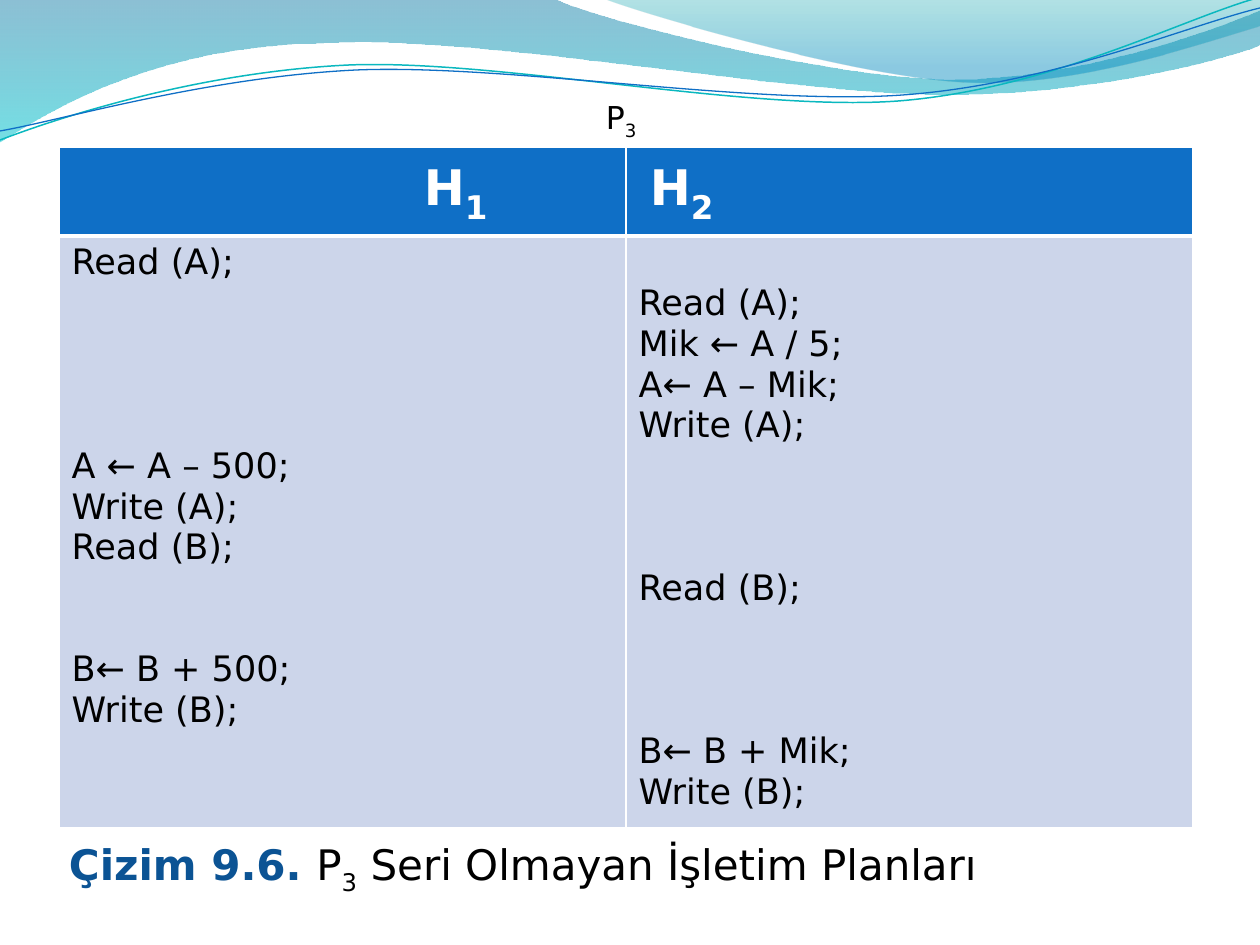
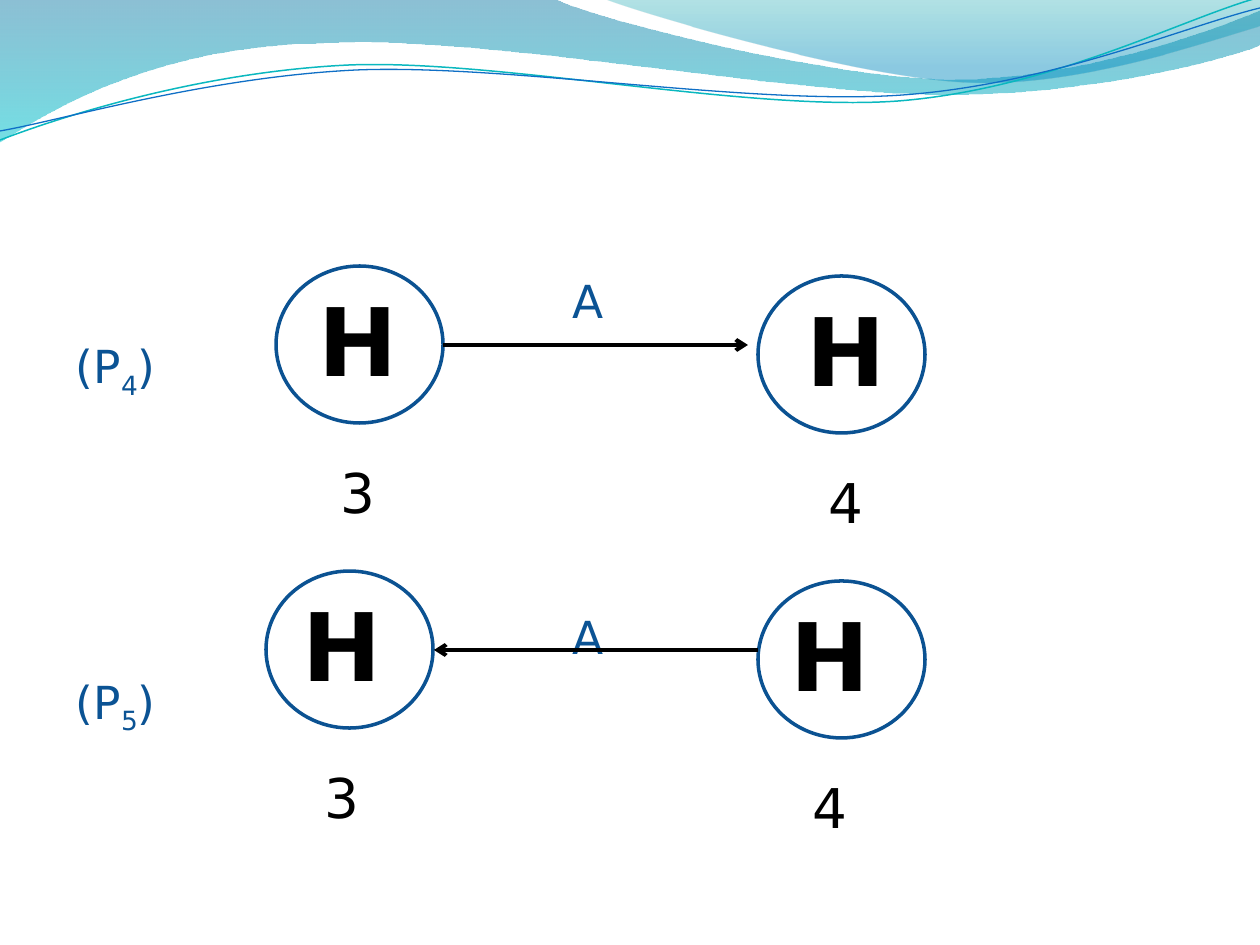
from lxml.etree import SubElement
from pptx import Presentation
from pptx.dml.color import RGBColor
from pptx.enum.shapes import MSO_CONNECTOR as CONN, MSO_SHAPE as SHAPE
from pptx.enum.text import MSO_ANCHOR as ANCHOR, PP_ALIGN as ALIGN
from pptx.oxml.ns import qn
from pptx.util import Pt

PX = 914400 / 126
BLACK = RGBColor(0x00, 0x00, 0x00)
WHITE = RGBColor(0xFF, 0xFF, 0xFF)
NAVY = RGBColor(0x0B, 0x53, 0x94)
RING = RGBColor(0x0B, 0x52, 0x92)
BLUE = RGBColor(0x0F, 0x6F, 0xC6)
TEAL = RGBColor(0x0A, 0xB8, 0xBF)
PALE = RGBColor(0xCC, 0xD5, 0xEA)
BAND_TOP = RGBColor(0x00, 0x74, 0xA1)
BAND_END = RGBColor(0x00, 0xC6, 0xCF)
CREST_TOP = RGBColor(0x00, 0xA1, 0xA9)
CREST_END = RGBColor(0x00, 0x8B, 0xBF)
LINE_PITCH = 23.28


def write(p, runs, **fmt):
    for txt, extra in runs:
        r = p.add_run()
        r.text = txt
        look = {"name": "DejaVu Sans", "bold": False, **fmt, **extra}
        r.font.color.rgb = look.pop("color", BLACK)
        if look.pop("sub", False):
            r._r.get_or_add_rPr().set("baseline", "-25000")
        for key, value in look.items():
            setattr(r.font, key, value)


def add_text(s, x, y, w, h, runs, **fmt):
    tf = s.shapes.add_textbox(*[int(v * PX) for v in (x, y, w, h)]).text_frame
    tf.word_wrap = True
    for side in ("left", "right", "top", "bottom"):
        setattr(tf, f"margin_{side}", 0)
    write(tf.paragraphs[0], runs, **fmt)
    return tf


SUB = {"sub": True}
BAND = [(0, 0), (554, -1), (600, 21, 837, 79, 955, 79), (1075, 79, 1207, 33, 1260, 11),
        (1261, 45), (1239, 55, 1096, 96, 940, 94), (784, 94, 481, 35, 324, 43),
        (163, 45, 58, 105, -1, 142)]
CREST = [(604, -1), (641, 14, 859, 78, 969, 82), (1079, 87, 1211, 40, 1260, 26), (1260, 0)]
TEAL_WAVE = [(0, 140), (60, 117, 199, 72, 349, 65), (498, 59, 747, 112, 898, 101),
             (1050, 89, 1182, 19, 1257, -2)]
BLUE_WAVE = [(0, 131), (59, 121, 207, 77, 357, 70), (508, 64, 752, 106, 903, 95),
             (1053, 84, 1186, 26, 1260, 8)]
WAVES = [
    (BAND, [(0, BAND_TOP, 45), (1, BAND_END, 55)], None),
    (CREST, [(0, CREST_TOP, 30), (0.8, CREST_END, 45)], None),
    (TEAL_WAVE, None, (TEAL, 0.85)),
    (BLUE_WAVE, None, (BLUE, 0.75)),
]

prs = Presentation()
prs.slide_width, prs.slide_height = int(1260 * PX), int(945 * PX)
blank = prs.slide_layouts[6]
plan, graphs = [prs.slides.add_slide(blank) for _ in range(2)]

for number, (outline, stops, line) in enumerate(WAVES):
    ends = [seg[-2:] for seg in outline]
    left, top = [min(end[a] for end in ends) for a in (0, 1)]
    pen = plan.shapes.build_freeform(*ends[0], scale=PX)
    pen.add_line_segments(ends[1:], close=bool(stops))
    sp = pen.convert_to_shape()
    sp.shadow.inherit = False
    for seg, step in zip(outline[1:], list(sp._element.iter(qn("a:lnTo")))):
        if len(seg) == 6:
            curve = step.makeelement(qn("a:cubicBezTo"))
            for x, y in zip(seg[::2], seg[1::2]):
                SubElement(curve, qn("a:pt"), x=str(x - left), y=str(y - top))
            step.getparent().replace(step, curve)
    if stops:
        sp.line.fill.background()
        sp.fill.gradient()
        sp.fill.gradient_angle = 270
        for stop, (pos, color, _) in zip(sp.fill.gradient_stops, stops):
            stop.position, stop.color.rgb = pos, color
        for clr, (_, _, alpha) in zip(list(sp._element.spPr.iter(qn("a:srgbClr"))), stops):
            SubElement(clr, qn("a:alpha"), val=str(alpha * 1000))
    else:
        sp.fill.background()
        sp.line.color.rgb, sp.line.width = line[0], Pt(line[1])
    sp._element.nvSpPr.cNvPr.id = 20 + number
    blank.shapes._spTree.append(sp._element)

tf = add_text(plan, 69, 817, 1134, 79, [
    ("Çizim 9.6. ", {"color": NAVY, "bold": True}), ("P", {}), ("3", SUB),
    (" Seri Olmayan İşletim Planları", {})], size=Pt(24))
tf.vertical_anchor = ANCHOR.BOTTOM

HEADS = [("1", 365), ("2", 24)]
STEPS = [
    (6, [(0, "Read (A);"), (4, "A ← A – 500;"), (0, "Write (A);"), (0, "Read (B);"),
         (2, "B← B + 500;"), (0, "Write (B);")]),
    (47, [(0, "Read (A);"), (0, "Mik ← A / 5;"), (0, "A← A – Mik;"), (0, "Write (A);"),
          (3, "Read (B);"), (3, "B← B + Mik;"), (0, "Write (B);")]),
]
tbl = plan.shapes.add_table(2, 2, *[int(v * PX) for v in (59, 147, 1134, 588)]).table
tbl.horz_banding = False
for row, height in zip(tbl.rows, (88, 500)):
    row.height = int(height * PX)
for col in range(2):
    for row, fill in enumerate((BLUE, PALE)):
        cell = tbl.cell(row, col)
        tcPr = cell._tc.get_or_add_tcPr()
        for side in "LRTB":
            thick = 3 if (row, side) in ((0, "B"), (1, "T")) else 1
            ln = SubElement(tcPr, qn(f"a:ln{side}"), w=str(Pt(thick)))
            SubElement(SubElement(ln, qn("a:solidFill")), qn("a:srgbClr"), val=str(WHITE))
        cell.fill.solid()
        cell.fill.fore_color.rgb = fill
    number, indent = HEADS[col]
    head, body = tbl.cell(0, col), tbl.cell(1, col)
    head.margin_left = int(indent * PX)
    write(head.text_frame.paragraphs[0],
          [("H", {"size": Pt(28)}), (number, {"size": Pt(32), **SUB})], color=WHITE, bold=True)
    top, steps = STEPS[col]
    body.margin_top = int(top * PX)
    for i, (gap, step) in enumerate(steps):
        p = body.text_frame.add_paragraph() if i else body.text_frame.paragraphs[0]
        if gap:
            p.space_before = Pt(gap * LINE_PITCH)
        write(p, [(step, {})], size=Pt(20))

add_text(plan, 606, 98, 54, 44, [("P", {}), ("3", SUB)], size=Pt(18))

tf = add_text(graphs, 76, 273, 1108, 599, [])
for i, (gap, indent, runs) in enumerate([
        (0, 497, [("A", {})]), (6.2, 0, [("(P", {}), ("4", SUB), (")", {})]),
        (118.9, 497, [("A", {})]), (6.2, 0, [("(P", {}), ("5", SUB), (")", {})])]):
    p = tf.add_paragraph() if i else tf.paragraphs[0]
    p._p.get_or_add_pPr().set("marL", str(int(indent * PX)))
    if gap:
        p.space_before = Pt(gap)
    write(p, runs, size=Pt(26), color=NAVY)

for x, y, middle, number in ((276, 266, 358, "3"), (758, 276, 846, "4"),
                             (266, 571, 342, "3"), (758, 581, 830, "4")):
    sp = graphs.shapes.add_shape(SHAPE.OVAL, *[int(v * PX) for v in (x, y, 167, 157)])
    sp.shadow.inherit = False
    sp.fill.background()
    sp.line.color.rgb, sp.line.width = RING, Pt(2)
    tf = add_text(graphs, middle - 54, y + 16, 108, 240,
                  [("H", {"bold": True}), (number, SUB)], size=Pt(54))
    tf.paragraphs[0].alignment = ALIGN.CENTER

for ends in ((443, 345, 748, 345), (758, 650, 434, 650)):
    arrow = graphs.shapes.add_connector(CONN.STRAIGHT, *[int(v * PX) for v in ends])
    arrow.line.color.rgb, arrow.line.width = BLACK, Pt(2.25)
    SubElement(arrow.line._get_or_add_ln(), qn("a:tailEnd"), type="arrow")
    SubElement(arrow._element.spPr, qn("a:effectLst"))

prs.save("out.pptx")
